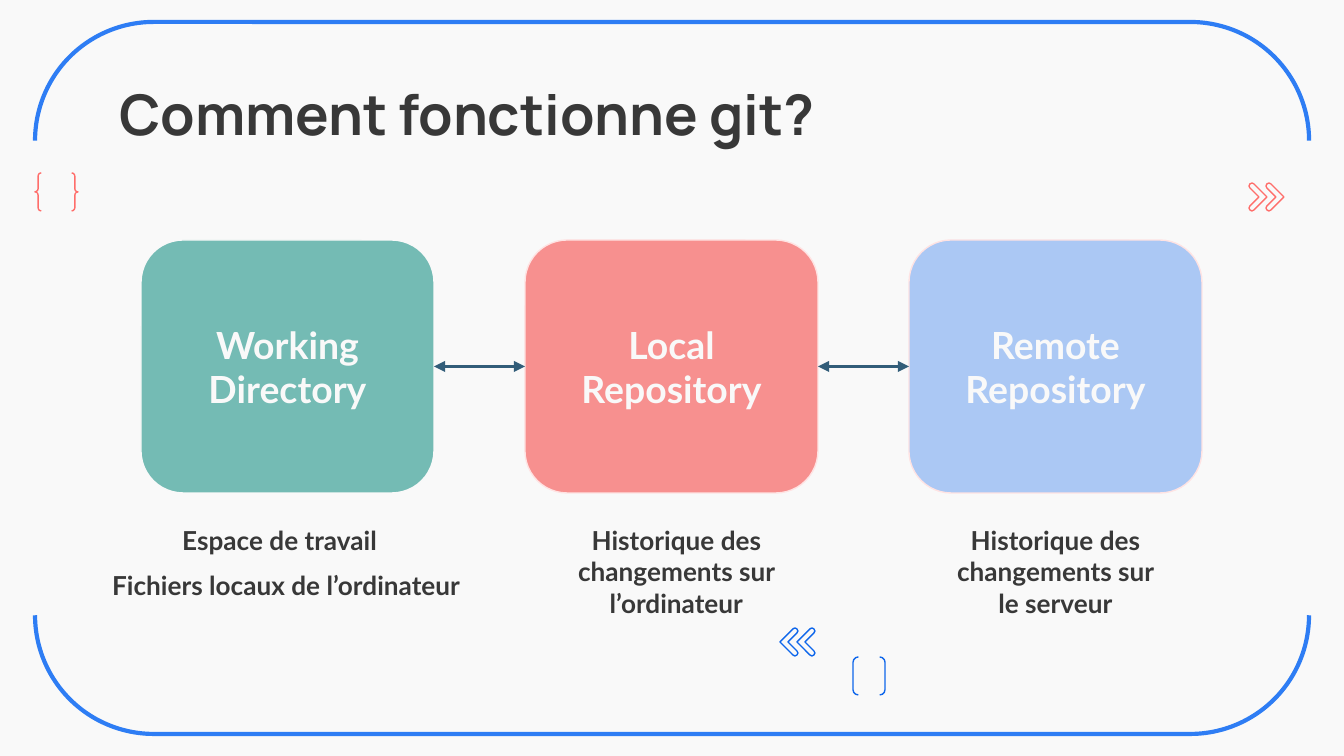
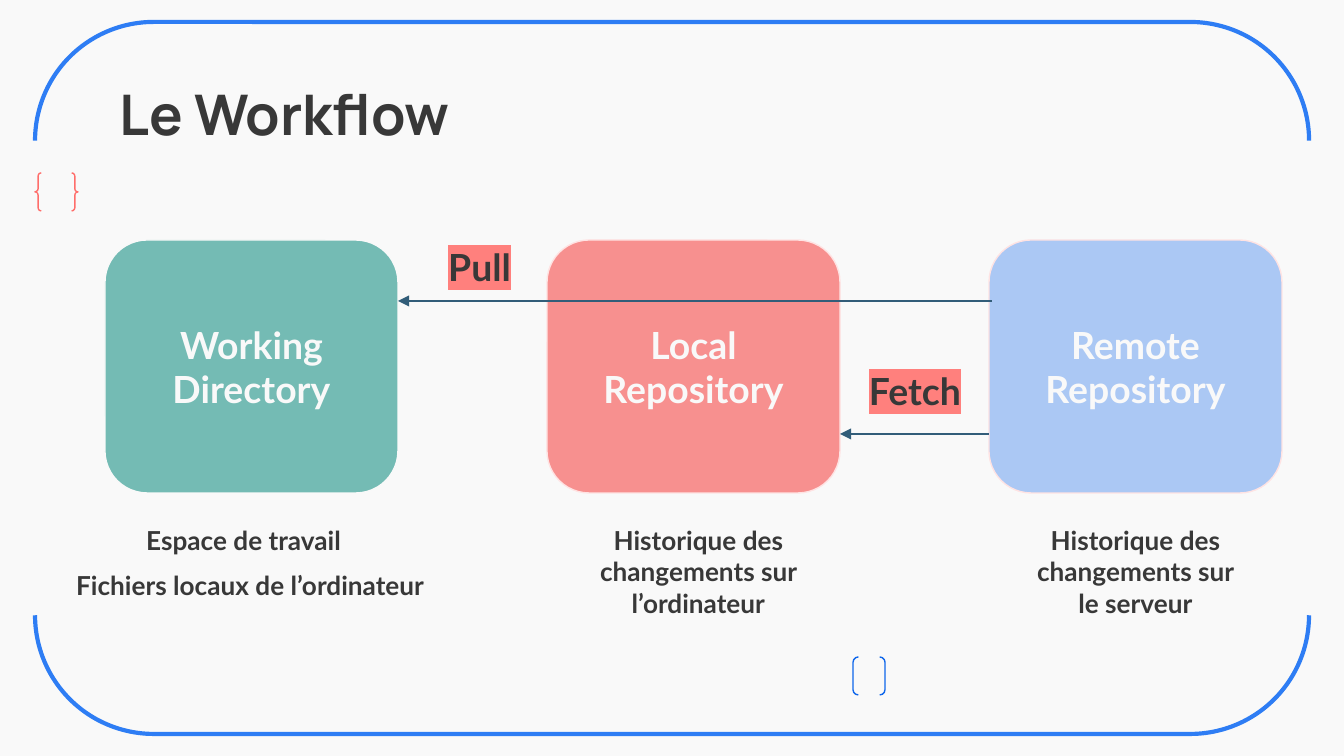
from pptx import Presentation
from pptx.dml.color import RGBColor
from pptx.enum.shapes import MSO_CONNECTOR as LINE, MSO_SHAPE as SHAPE
from pptx.enum.text import MSO_ANCHOR as ANCHOR, MSO_AUTO_SIZE as FIT, PP_ALIGN as ALIGN
from pptx.oxml.ns import qn
from pptx.util import Pt
from lxml.etree import SubElement, Element

U = 9144000 / 1344  # EMU in one px

PAPER = RGBColor(0xF9, 0xF9, 0xF9)
INK = RGBColor(0x38, 0x38, 0x38)
BLUE = RGBColor(0x2E, 0x7D, 0xF4)
DEEP = RGBColor(0x0E, 0x66, 0xEB)
CORAL = RGBColor(0xFF, 0x6E, 0x6B)
GREEN = RGBColor(0x74, 0xBB, 0xB4)
ROSE = RGBColor(0xF7, 0x90, 0x8F)
SKY = RGBColor(0xAB, 0xC8, 0xF4)
BLUSH = RGBColor(0xFF, 0xE3, 0xE3)
STEEL = RGBColor(0x32, 0x5D, 0x79)
MARK = RGBColor(0xFF, 0x80, 0x7D)


def write(shape, text, size, color=INK, align=ALIGN.CENTER, anchor=ANCHOR.TOP,
          face="Lato", fit=FIT.SHAPE_TO_FIT_TEXT):
    frame = shape.text_frame
    frame.text = text
    frame.word_wrap = True
    frame.auto_size = fit
    frame.vertical_anchor = anchor
    frame.margin_left = frame.margin_right = Pt(7.2)
    frame.margin_top = frame.margin_bottom = Pt(7.2)
    para = frame.paragraphs[0]
    para.alignment = align
    font = para.runs[0].font
    font.name, font.size, font.bold = face, Pt(size), True
    font.color.rgb = color


def arrow(slide, x1, y1, x2, y2, ends):
    link = slide.shapes.add_connector(
        LINE.STRAIGHT, *[round(v * U) for v in (x1, y1, x2, y2)])
    link.line.color.rgb = STEEL
    link.line.width = Pt(1.5)
    props = link.element.spPr
    for end in ends:
        SubElement(props.find(qn("a:ln")), qn(end), type="triangle")
    SubElement(props, qn("a:effectLst"))
    return link


deck = Presentation()
deck.slide_width, deck.slide_height = round(1344 * U), round(756 * U)

# Shared layout: background, frame and brackets
base = deck.slide_layouts[5]
base.background.fill.solid()
base.background.fill.fore_color.rgb = PAPER
for holder in list(base.placeholders):
    if holder.placeholder_format.idx != 0:
        base.shapes.element.remove(holder.element)

slides = [deck.slides.add_slide(base) for _ in range(2)]
decor = []
for kind, box, color, width, turn in [
    (SHAPE.DOUBLE_BRACKET, (316, -259, 712, 1274), BLUE, 2.25, 90),
    (SHAPE.DOUBLE_BRACKET, (853, 657, 32, 38), DEEP, 0.75, 0),
    (SHAPE.DOUBLE_BRACE, (35, 173, 43, 38), CORAL, 0.75, 0),
]:
    item = slides[0].shapes.add_shape(kind, *[round(v * U) for v in box])
    item.shadow.inherit = False
    item.fill.background()
    item.line.color.rgb = color
    item.line.width = Pt(width)
    item.rotation = turn
    decor.append(item)
for item in decor:
    base.shapes.element.append(item.element)

# Titles, boxes and captions
stages = [("Working Directory", GREEN, PAPER),
          ("Local Repository", ROSE, BLUSH),
          ("Remote Repository", SKY, BLUSH)]
# Stage, shift from its box, top, width, height, alignment, text
notes = [
    (0, 28, 511, 238, 59, ALIGN.JUSTIFY, "Espace de travail"),
    (0, -42, 556, 378, 59, ALIGN.JUSTIFY, "Fichiers locaux de l’ordinateur"),
    (1, 28, 511, 247, 122, ALIGN.CENTER, "Historique des changements sur l’ordinateur"),
    (2, 23, 511, 247, 122, ALIGN.CENTER, "Historique des changements sur le serveur"),
]
rows = []
for slide, head, left, step in zip(
        slides, ("Comment fonctionne git?", "Le Workflow"), (141, 105), (384, 442)):
    title = slide.shapes.title
    title.left, title.top = round(106 * U), round(66 * U)
    title.width, title.height = round(1133 * U), round(84 * U)
    write(title, head, 30, align=ALIGN.LEFT, face="Manrope", fit=FIT.NONE)

    row = []
    for i, (name, fill, edge) in enumerate(stages):
        box = slide.shapes.add_shape(
            SHAPE.ROUNDED_RECTANGLE,
            *[round(v * U) for v in (left + i * step, 240, 293, 253)])
        box.shadow.inherit = False
        box.fill.solid()
        box.fill.fore_color.rgb = fill
        box.line.color.rgb = edge
        box.line.width = Pt(0.75)
        write(box, name, 20, PAPER, anchor=ANCHOR.MIDDLE, fit=FIT.NONE)
        row.append(box)
    rows.append(row)

    for i, shift, top, wide, high, align, text in notes:
        note = slide.shapes.add_textbox(
            *[round(v * U) for v in (left + i * step + shift, top, wide, high)])
        write(note, text, 14, align=align)

# Slide 1: chevrons
tip = [(3, 0), (1, 1), (0, 3), (1, 5), (10, 14), (1, 23), (0, 25), (1, 27),
       (3, 28), (5, 27), (18, 14), (5, 1)]
for left, top, color, flip in [(780, 628, DEEP, True), (1249, 183, CORAL, False)]:
    group = slides[0].shapes.add_group_shape()
    points = [(18 - x if flip else x, y) for x, y in tip]
    for x in (left, left + 17):
        pen = group.shapes.build_freeform(*points[0], scale=U)
        pen.add_line_segments(points[1:], close=True)
        mark = pen.convert_to_shape(round(x * U), round(top * U))
        mark.shadow.inherit = False
        mark.fill.solid()
        mark.fill.fore_color.rgb = PAPER
        mark.line.color.rgb = color
        mark.line.width = Pt(0.75)

# Slide 1: links between neighbours
for one, two in zip(rows[0], rows[0][1:]):
    link = arrow(slides[0], 0, 0, 1, 1, ("a:headEnd", "a:tailEnd"))
    link.begin_connect(one, 3)
    link.end_connect(two, 1)

# Slide 2: fetch and pull
arrow(slides[1], 840, 434, 989, 434, ["a:headEnd"])
for text, box in [("Pull", (398, 231, 163, 73)), ("Fetch", (848, 355, 134, 73))]:
    label = slides[1].shapes.add_textbox(*[round(v * U) for v in box])
    write(label, text, 20)
    for props in label.element.iter(qn("a:rPr")):
        glow = Element(qn("a:highlight"))
        SubElement(glow, qn("a:srgbClr"), val=str(MARK))
        props.find(qn("a:solidFill")).addnext(glow)
arrow(slides[1], 992, 301, 398, 301, ["a:tailEnd"])

deck.save("out.pptx")
